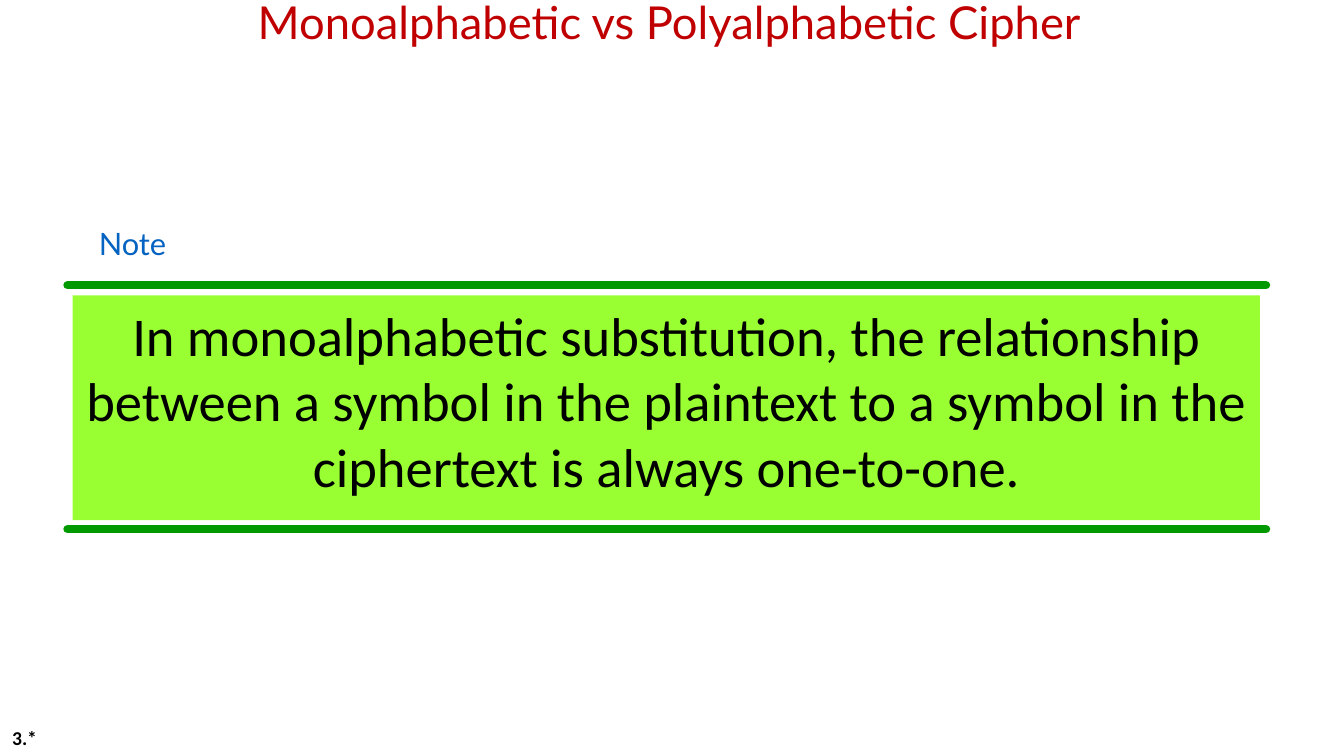
import dataclasses
import typing

import pptx
import pptx.dml.color
import pptx.enum.shapes
import pptx.enum.text
import pptx.util
import lxml.etree

Pt = pptx.util.Pt
Align = pptx.enum.text.PP_ALIGN
Anchor = pptx.enum.text.MSO_ANCHOR
Spot = tuple[float, float, float, float]


@dataclasses.dataclass(frozen=True)
class Theme:
    ink: str = "000000"
    red: str = "C00000"
    blue: str = "0563C1"
    rule: str = "009900"
    lime: str = "99FF33"
    main: str = "Calibri"
    head: str = "Lato"
    title: float = 32.4
    claim: float = 39
    note: float = 22
    page: float = 14


@dataclasses.dataclass(frozen=True)
class Label:
    text: str
    spot: Spot
    face: str
    size: float
    ink: str
    fill: str | None = None
    bold: bool = False
    align: Align = Align.LEFT
    anchor: Anchor = Anchor.TOP
    inset: tuple[float, float] = (8.64, 4.32)
    space: float = 1.0


LOOK = Theme()

# Text parts, from back to front
PAGE = Label("3.*", (0, 504, 200, 36), LOOK.main, LOOK.page, LOOK.ink,
             bold=True, anchor=Anchor.BOTTOM)
CLAIM = Label(
    "In monoalphabetic substitution, the relationship between a symbol in the "
    "plaintext to a symbol in the ciphertext is always one-to-one.",
    (51.84, 211, 848.16, 160.5), LOOK.main, LOOK.claim, LOOK.ink,
    fill=LOOK.lime, align=Align.CENTER)
NOTE = Label("Note", (62, 156.24, 92, 41), LOOK.head, LOOK.note, LOOK.blue)
TITLE = Label("Monoalphabetic vs Polyalphabetic Cipher", (29.5, 0, 897, 40.3),
              LOOK.head, LOOK.title, LOOK.red, align=Align.CENTER,
              inset=(7.2, 3.6), space=0.8)

# Rules above and below the claim
LEFT, RIGHT = 48.24, 904.32
RULES = (203.76, 378)


def color(code: str) -> pptx.dml.color.RGBColor:
    return pptx.dml.color.RGBColor.from_string(code)


def apply(part: typing.Any, form: dict[str, typing.Any]) -> None:
    for name, value in form.items():
        setattr(part, name, value)


def draw_label(slide: typing.Any, label: Label) -> None:
    spot = [Pt(n) for n in label.spot]
    if label.fill:
        shape = slide.shapes.add_shape(
            pptx.enum.shapes.MSO_SHAPE.RECTANGLE, *spot)
        shape.shadow.inherit = False
        shape.fill.solid()
        shape.fill.fore_color.rgb = color(label.fill)
        shape.line.fill.background()
    else:
        shape = slide.shapes.add_textbox(*spot)
    side, edge = (Pt(n) for n in label.inset)
    frame = shape.text_frame
    apply(frame, {"word_wrap": True, "vertical_anchor": label.anchor,
                  "margin_left": side, "margin_right": side,
                  "margin_top": edge, "margin_bottom": edge})
    line = frame.paragraphs[0]
    apply(line, {"alignment": label.align, "line_spacing": label.space})
    run = line.add_run()
    run.text = label.text
    apply(run.font, {"name": label.face, "size": Pt(label.size),
                     "bold": label.bold})
    run.font.color.rgb = color(label.ink)


def draw_rule(slide: typing.Any, top: float) -> None:
    rule = slide.shapes.add_connector(
        pptx.enum.shapes.MSO_CONNECTOR.STRAIGHT,
        Pt(LEFT), Pt(top), Pt(RIGHT), Pt(top))
    rule.line.color.rgb = color(LOOK.rule)
    rule.line.width = Pt(6)
    # Round ends, no shadow
    props = rule.line._get_or_add_ln()
    props.set("cap", "rnd")
    lxml.etree.SubElement(
        props.getparent(),
        "{http://schemas.openxmlformats.org/drawingml/2006/main}effectLst")


def main() -> None:
    deck = pptx.Presentation()
    apply(deck, {"slide_width": Pt(960), "slide_height": Pt(540)})
    slide = deck.slides.add_slide(deck.slide_layouts[6])
    draw_label(slide, PAGE)
    for top in RULES:
        draw_rule(slide, top)
    for label in (CLAIM, NOTE, TITLE):
        draw_label(slide, label)
    deck.save("out.pptx")


if __name__ == "__main__":
    main()
